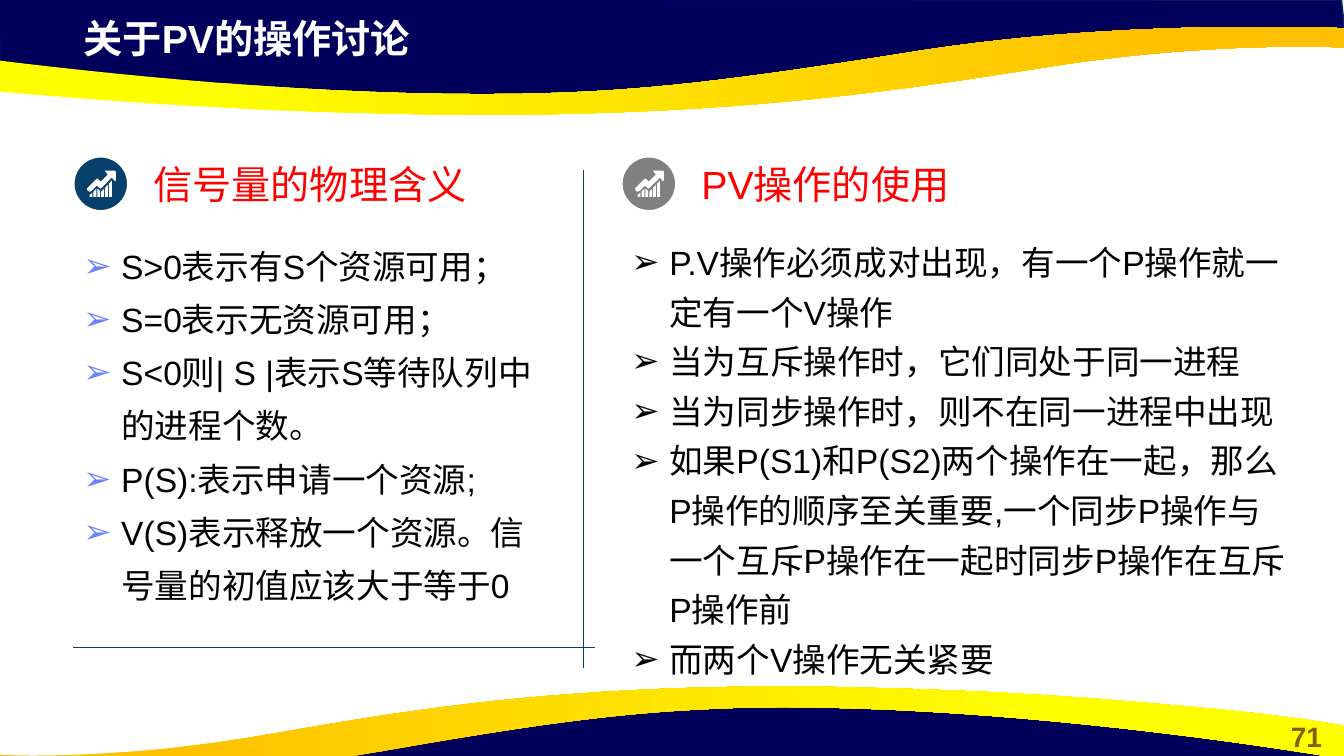
from lxml.etree import SubElement
from pptx import Presentation
from pptx.dml.color import RGBColor
from pptx.enum.shapes import MSO_CONNECTOR as CONNECTOR, MSO_SHAPE as SHAPE
from pptx.enum.text import MSO_ANCHOR as ANCHOR, MSO_AUTO_SIZE as AUTO_SIZE, PP_ALIGN as ALIGN
from pptx.oxml.ns import qn
from pptx.util import Pt

FONT = "Arial"
NAVY, AMBER, YELLOW = "00005C", "FFC000", "FFFF00"
WHITE, BLACK, RED = "FFFFFF", "000000", "FF0000"
BLUE, GREY, VIOLET = "07416B", "808080", "6C81FC"
HANG = 27

# Outlines: a pair is a corner, six numbers are a Bézier curve
TOP_BAND = [(-1, -1), (0, 50.4), (211, 73.4), (402.5, 72), (572.4, 63.4),
            (731.5, 36), (891.4, 23.8), (961.2, 27.4), (958.3, 0)]
BOTTOM_BAND = [(960, 571.7), (959, 521.3), (748.8, 497.5), (556.6, 499), (387.4, 508.3),
               (228.2, 535), (68.4, 547.2), (-2.2, 544.3), (0.7, 571)]
TOP_RIBBON = [(347.8, 82.1), (319, 82.1, 288.7, 81.4, 256.3, 80.6),
              (148.3, 77.8, 79.2, 72, 25.9, 67.7), (-63.4, 60.5, -93.6, 54, -95.8, 54),
              (-95.8, 30.2), (-95.8, 30.2, 157, 70.6, 372.2, 67),
              (450.7, 65.5, 509.8, 59.8, 658.8, 36), (807.1, 13, 960, 20.2, 960, 20.2),
              (960, 33.8), (957.6, 33.8), (939.6, 33.1, 860.4, 31, 759.6, 46.1),
              (661, 61.2, 548.6, 81.4, 347.8, 82.1)]
BOTTOM_RIBBON = [(555.8, 490.3), (582.5, 490.3, 609.8, 491, 639.4, 491.8),
                 (738, 494.6, 800.6, 500.4, 848.9, 504.7),
                 (930.2, 511.9, 957.6, 518.4, 960, 518.4),
                 (960, 542.2), (960, 542.2, 730, 501.8, 534.2, 505.4),
                 (462.2, 507.6, 408.2, 512.6, 273.6, 536.4),
                 (138.2, 560.2, -0.7, 553, -0.7, 553), (-0.7, 538.6), (1.4, 539.3),
                 (18, 540, 90, 541.4, 181.4, 526.3), (270.7, 511.2, 373.7, 491, 555.8, 490.3)]

# Growth icon, measured from the corner of its disc
ARROW = [(22.3, 10.1), (29.5, 10.1), (30.2, 10.8), (30.2, 17.3), (29.5, 17.6), (27.4, 15.1),
         (19.4, 23), (16.6, 20.9), (13, 24.5), (11.5, 25.2), (10.1, 24.5), (9.6, 23),
         (10.1, 22.3), (16.6, 15.8), (17.3, 15.8), (19.4, 18), (24.5, 13)]
BAR_TOPS = [(27.4, 25.9), (25.2, 23), (23, 24.5), (25.2, 23), (22.3, 20.2), (19.4, 17.3)]
BAR_LEFT, BAR_STEP, BAR_WIDTH, BAR_BASE = 11.5, 2.77, 2, 28.8

SEMAPHORE_MEANING = [
    "S>0表示有S个资源可用；",
    "S=0表示无资源可用；",
    "S<0则| S |表示S等待队列中的进程个数。",
    "P(S):表示申请一个资源;",
    "V(S)表示释放一个资源。信号量的初值应该大于等于0",
]
PV_USAGE = [
    "P.V操作必须成对出现，有一个P操作就一定有一个V操作",
    "当为互斥操作时，它们同处于同一进程",
    "当为同步操作时，则不在同一进程中出现",
    "如果P(S1)和P(S2)两个操作在一起，那么P操作的顺序至关重要,"
    "一个同步P操作与一个互斥P操作在一起时同步P操作在互斥P操作前",
    "而两个V操作无关紧要",
]


def color(hex_code):
    return RGBColor.from_string(hex_code)


def flatten(outline, steps=24):
    """Turn corners and Bézier curves into a list of points."""
    points = []
    for segment in outline:
        if len(segment) == 2:
            points.append(segment)
            continue
        start = points[-1]
        for step in range(1, steps + 1):
            t = step / steps
            weights = ((1 - t) ** 3, 3 * t * (1 - t) ** 2, 3 * t ** 2 * (1 - t), t ** 3)
            points.append(tuple(
                sum(w * v for w, v in zip(weights, (start[axis], *segment[axis::2])))
                for axis in (0, 1)))
    return points


def add_outline(slide, *contours):
    pen = None
    for contour in contours:
        first, *rest = [(Pt(x), Pt(y)) for x, y in contour]
        if pen is None:
            pen = slide.shapes.build_freeform(*first)
        else:
            pen.move_to(*first)
        pen.add_line_segments(rest, close=True)
    shape = pen.convert_to_shape()
    shape.shadow.inherit = False
    shape.line.fill.background()
    return shape


def paint(shape, fill, line=None, width=1):
    shape.fill.solid()
    shape.fill.fore_color.rgb = color(fill)
    if line:
        shape.line.color.rgb = color(line)
        shape.line.width = Pt(width)


def add_band(slide, outline):
    paint(add_outline(slide, outline), NAVY, "05304F")


def add_ribbon(slide, outline, stops):
    ribbon = add_outline(slide, flatten(outline))
    ribbon.fill.gradient()
    ribbon.fill.gradient_angle = 0
    for stop, (position, shade) in zip(ribbon.fill.gradient_stops, stops):
        stop.position = position
        stop.color.rgb = color(shade)


def format_runs(paragraph, size, shade, bold=False):
    for run in paragraph.runs:
        run.font.name = FONT
        run.font.size = Pt(size)
        run.font.bold = bold
        run.font.color.rgb = color(shade)


def add_text(slide, box, text, size, shade, bold=False, anchor=ANCHOR.TOP, align=ALIGN.LEFT):
    frame = slide.shapes.add_textbox(*map(Pt, box)).text_frame
    frame.word_wrap = True
    frame.vertical_anchor = anchor
    frame.text = text
    for paragraph in frame.paragraphs:
        paragraph.alignment = align
        format_runs(paragraph, size, shade, bold)
    return frame


def add_bullets(slide, box, items, spacing, bullet_shade):
    frame = add_text(slide, box, "\n".join(items), 24, BLACK)
    for paragraph in frame.paragraphs:
        paragraph.line_spacing = spacing
        properties = paragraph._p.get_or_add_pPr()
        properties.set("marL", str(Pt(HANG)))
        properties.set("indent", str(-Pt(HANG)))
        bullet_color = SubElement(properties, qn("a:buClr"))
        SubElement(bullet_color, qn("a:srgbClr")).set("val", bullet_shade)
        SubElement(properties, qn("a:buFont")).set("typeface", FONT)
        SubElement(properties, qn("a:buChar")).set("char", "➢")


def add_growth_icon(slide, left, top, shade):
    disc = slide.shapes.add_shape(SHAPE.OVAL, Pt(left), Pt(top), Pt(39), Pt(39))
    disc.shadow.inherit = False
    paint(disc, shade, WHITE, 1.5)
    contours = [ARROW]
    for index, (left_top, right_top) in enumerate(BAR_TOPS):
        x = BAR_LEFT + index * BAR_STEP
        contours.append([(x, left_top), (x + BAR_WIDTH, right_top),
                         (x + BAR_WIDTH, BAR_BASE), (x, BAR_BASE)])
    placed = [[(left + x, top + y) for x, y in contour] for contour in contours]
    paint(add_outline(slide, *placed), WHITE)


def add_section(slide, left, heading, items, width, height, spacing, icon_shade, bullet_shade):
    add_text(slide, (left + 50, 116, 393, 31), heading, 28, RED, anchor=ANCHOR.MIDDLE)
    add_bullets(slide, (left, 162.7, width, height), items, spacing, bullet_shade)
    add_growth_icon(slide, left, 111.8, icon_shade)


def add_rule(slide, *ends):
    rule = slide.shapes.add_connector(CONNECTOR.STRAIGHT, *map(Pt, ends))
    rule.line.color.rgb = color(BLUE)
    rule.line.width = Pt(0.5)
    SubElement(rule._element.spPr, qn("a:effectLst"))


def set_title(slide, text):
    title = slide.shapes.title
    title.left, title.top, title.width, title.height = map(Pt, (52.5, 6.5, 553, 41))
    frame = title.text_frame
    frame.auto_size = AUTO_SIZE.NONE
    frame.vertical_anchor = ANCHOR.TOP
    frame.text = text
    frame.paragraphs[0].alignment = ALIGN.LEFT
    format_runs(frame.paragraphs[0], 28, WHITE, bold=True)
    # Bring the title in front of the navy band
    title.element.getparent().append(title.element)


def main():
    deck = Presentation()
    deck.slide_width, deck.slide_height = Pt(960), Pt(540)
    slide = deck.slides.add_slide(deck.slide_layouts[5])

    add_band(slide, TOP_BAND)
    add_ribbon(slide, TOP_RIBBON, [(0.22, YELLOW), (0.89, AMBER)])
    add_band(slide, BOTTOM_BAND)
    add_ribbon(slide, BOTTOM_RIBBON, [(0.11, AMBER), (0.78, YELLOW)])
    add_text(slide, (907, 510.5, 52.5, 31.5), "71", 20, "806000", bold=True, align=ALIGN.CENTER)

    set_title(slide, "关于PV的操作讨论")
    add_section(slide, 52.5, "信号量的物理含义", SEMAPHORE_MEANING, 353, 278, 1.32, BLUE, VIOLET)
    add_section(slide, 444, "PV操作的使用", PV_USAGE, 482.5, 327.5, 1.23, GREY, BLACK)
    add_rule(slide, 417, 121.5, 417, 477)
    add_rule(slide, 52.5, 462.5, 425, 462.5)
    deck.save("out.pptx")


if __name__ == "__main__":
    main()
